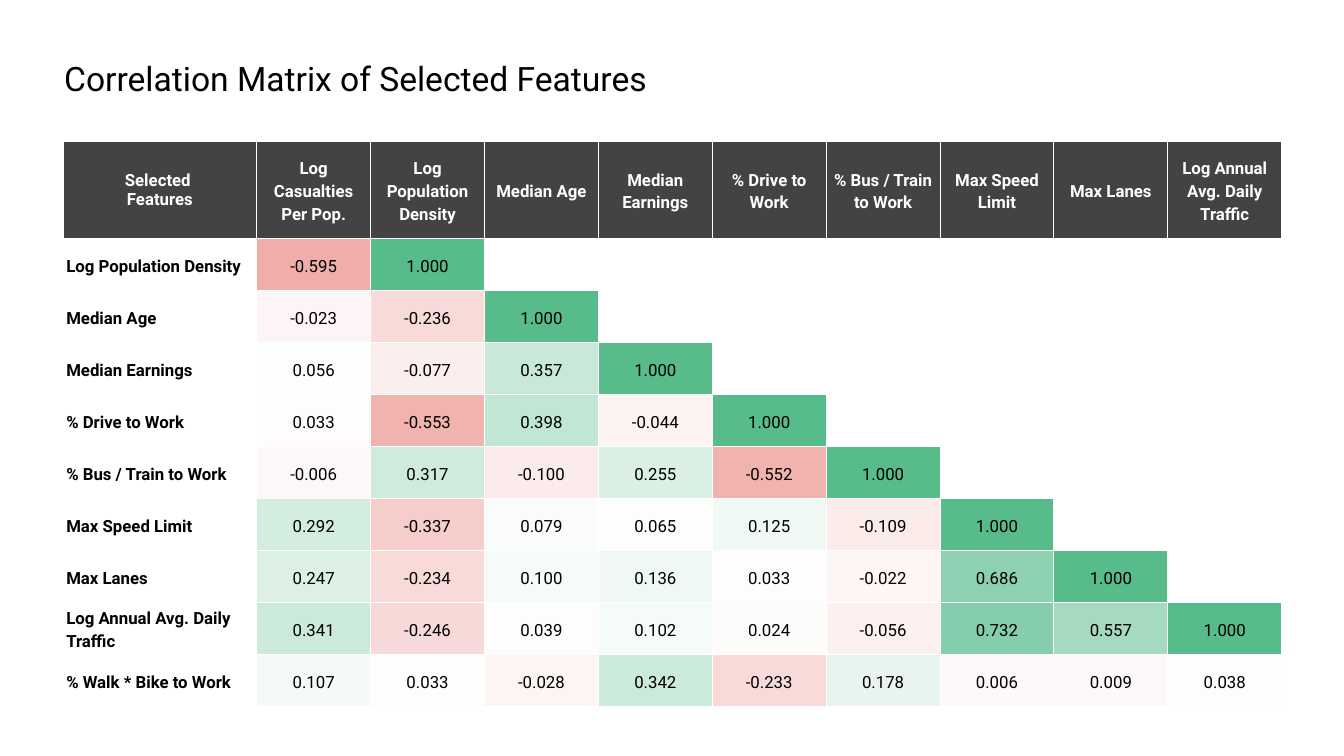
from dataclasses import dataclass

from pptx import Presentation
from pptx.dml.color import RGBColor
from pptx.enum.text import MSO_ANCHOR, PP_ALIGN
from pptx.oxml import parse_xml
from pptx.oxml.ns import nsdecls
from pptx.util import Cm, Pt

LEFT, CENTER = PP_ALIGN.LEFT, PP_ALIGN.CENTER
MIDDLE = MSO_ANCHOR.MIDDLE


@dataclass(frozen=True)
class Theme:
    font: str = "Roboto"
    title_size: int = 24
    table_size: int = 12
    line_spacing: float = 1.15
    border_width: float = 0.75
    text: str = "000000"
    paper: str = "FFFFFF"
    header: str = "434343"
    positive: str = "57BB8A"
    negative: str = "E67C73"
    neutral_value: float = 0.05


HEADERS = [
    "Selected \nFeatures", "Log Casualties Per Pop.", "Log Population Density",
    "Median Age", "Median Earnings", "% Drive to Work", "% Bus / Train to Work",
    "Max Speed Limit", "Max Lanes", "Log Annual Avg. Daily Traffic",
]
# Every row but the last is also a column, so the values form a triangle
ROW_LABELS = HEADERS[2:] + ["% Walk * Bike to Work"]
CORRELATIONS = [
    [-0.595, 1],
    [-0.023, -0.236, 1],
    [0.056, -0.077, 0.357, 1],
    [0.033, -0.553, 0.398, -0.044, 1],
    [-0.006, 0.317, -0.100, 0.255, -0.552, 1],
    [0.292, -0.337, 0.079, 0.065, 0.125, -0.109, 1],
    [0.247, -0.234, 0.100, 0.136, 0.033, -0.022, 0.686, 1],
    [0.341, -0.246, 0.039, 0.102, 0.024, -0.056, 0.732, 0.557, 1],
    [0.107, 0.033, -0.028, 0.342, -0.233, 0.178, 0.006, 0.009, 0.038],
]


class MatrixSlide:
    def __init__(self, deck, theme):
        self.page = deck.slides.add_slide(deck.slide_layouts[6])
        self.theme = theme

    def heat_color(self, value):
        """Blend from the neutral paper colour towards the colour of the value's end."""
        theme = self.theme
        end_value, end = (1, theme.positive) if value > theme.neutral_value else (-1, theme.negative)
        share = (value - theme.neutral_value) / (end_value - theme.neutral_value)
        pairs = zip(RGBColor.from_string(theme.paper), RGBColor.from_string(end))
        return str(RGBColor(*(int(start + (stop - start) * share) for start, stop in pairs)))

    def style_text(self, frame, size, color, bold=False, align=LEFT, spacing=1.0):
        for para in frame.paragraphs:
            para.alignment = align
            para.line_spacing = spacing
            for span in para.runs:
                span.font.name = self.theme.font
                span.font.size = Pt(size)
                span.font.bold = bold
                span.font.color.rgb = RGBColor.from_string(color)

    def title(self, text, left, top, width, height):
        box = self.page.shapes.add_textbox(Cm(left), Cm(top), Cm(width), Cm(height))
        frame = box.text_frame
        frame.word_wrap = True
        frame.margin_left = frame.margin_right = Cm(0.25)
        frame.margin_top = frame.margin_bottom = Cm(0.25)
        frame.text = text
        self.style_text(frame, self.theme.title_size, self.theme.text)

    def table(self, left, top, column_widths, row_heights):
        frame = self.page.shapes.add_table(
            len(row_heights), len(column_widths), Cm(left), Cm(top),
            Cm(sum(column_widths)), Cm(sum(row_heights)))
        grid = frame.table
        grid.first_row = grid.horz_banding = False
        for column, width in zip(grid.columns, column_widths):
            column.width = Cm(width)
        for row, height in zip(grid.rows, row_heights):
            row.height = Cm(height)
        for cell in grid.iter_cells():
            cell.margin_left = cell.margin_right = Cm(0.08)
            cell.margin_top = cell.margin_bottom = Cm(0.05)
            cell.vertical_anchor = MIDDLE
            self.borders(cell)
            cell.fill.background()
        return grid

    def borders(self, cell):
        properties = cell._tc.get_or_add_tcPr()
        for side in ("lnL", "lnR", "lnT", "lnB"):
            properties.append(parse_xml(
                f'<a:{side} {nsdecls("a")} w="{Pt(self.theme.border_width)}"><a:solidFill>'
                f'<a:srgbClr val="{self.theme.paper}"/></a:solidFill></a:{side}>'))

    def cell(self, cell, text, color, fill=None, bold=False, align=CENTER):
        if fill:
            cell.fill.solid()
            cell.fill.fore_color.rgb = RGBColor.from_string(fill)
        cell.text_frame.text = text
        spacing = 1.0 if "\n" in text else self.theme.line_spacing
        self.style_text(cell.text_frame, self.theme.table_size, color, bold, align, spacing)


def main():
    deck = Presentation()
    deck.slide_width, deck.slide_height = Cm(33.87), Cm(19.05)
    theme = Theme()
    slide = MatrixSlide(deck, theme)

    # Matrix frame
    grid = slide.table(1.59, 3.57, [4.88] + [2.87] * 9, [2.45] + [1.31] * 9)

    # Header row
    for column, header in enumerate(HEADERS):
        slide.cell(grid.cell(0, column), header, theme.paper, theme.header, bold=True)

    # Row labels and shaded correlations
    for row, (label, values) in enumerate(zip(ROW_LABELS, CORRELATIONS), start=1):
        slide.cell(grid.cell(row, 0), label, theme.text, bold=True, align=LEFT)
        for column, value in enumerate(values, start=1):
            slide.cell(grid.cell(row, column), f"{value:.3f}", theme.text, slide.heat_color(value))

    # Title
    slide.title("Correlation Matrix of Selected Features", 1.37, 1.22, 31.34, 2.34)

    deck.save("out.pptx")


if __name__ == "__main__":
    main()
